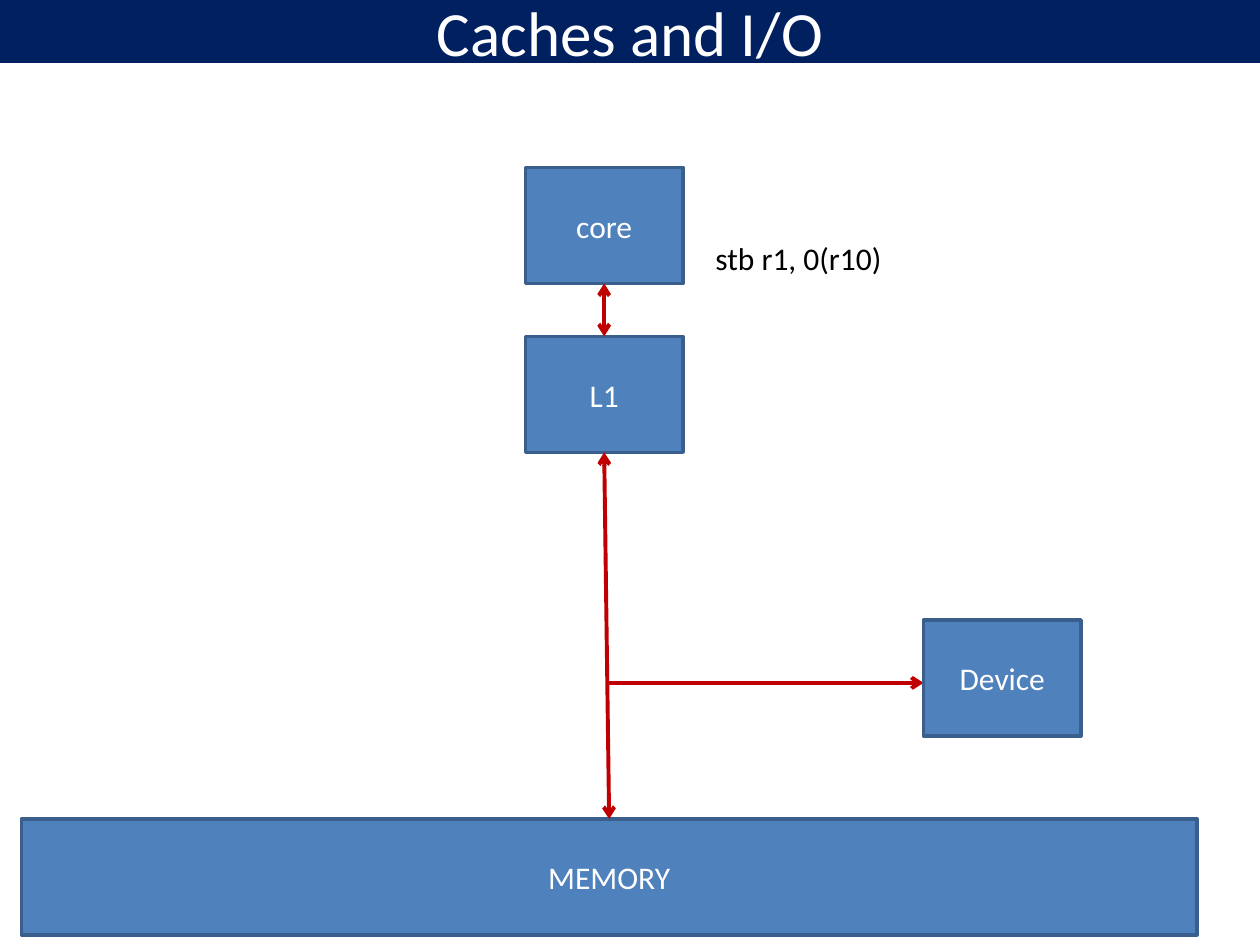
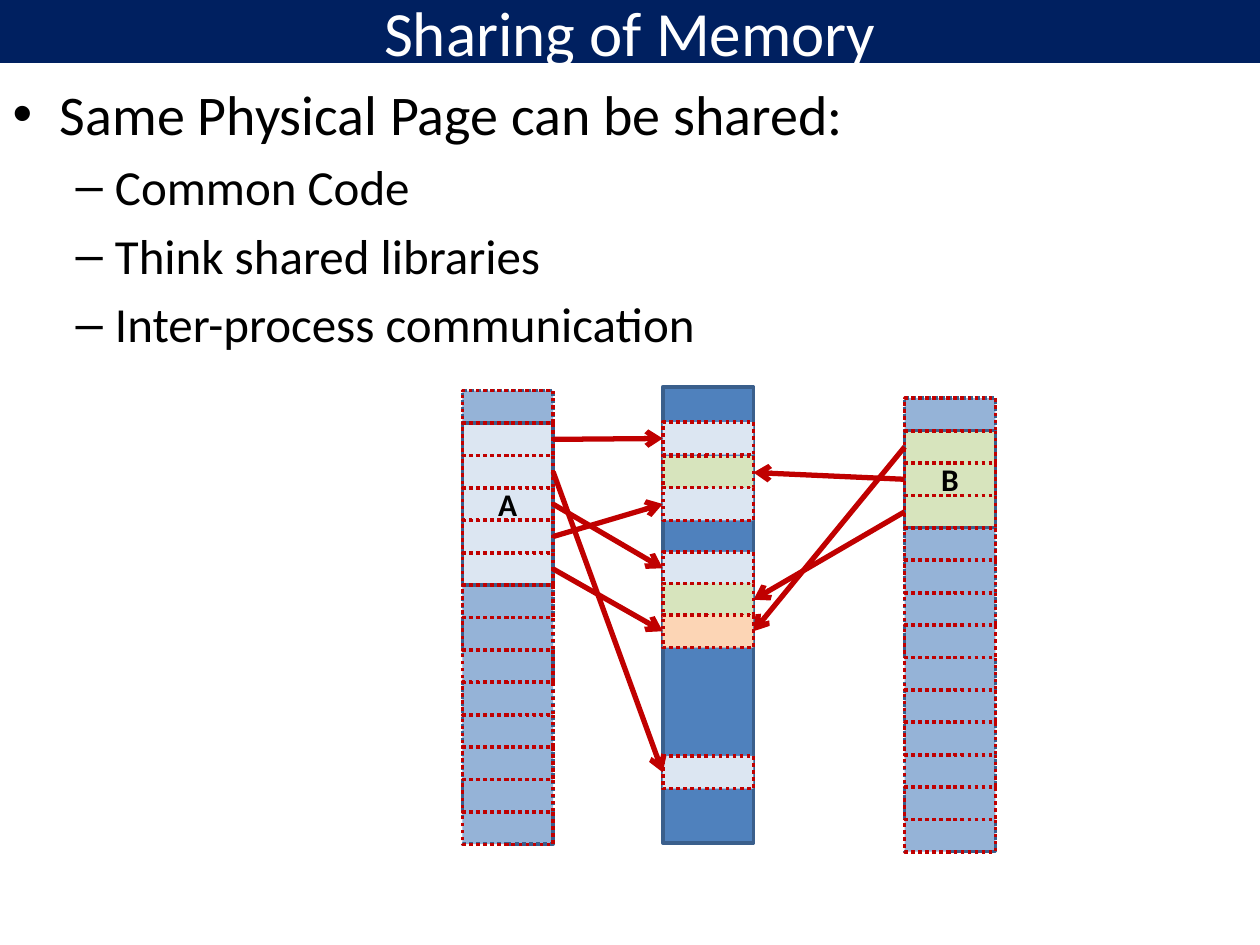
from pptx import Presentation
from pptx.dml.color import RGBColor
from pptx.enum import dml, shapes, text
from pptx.oxml.ns import qn
from pptx.util import Inches, Pt
from lxml import etree

NAVY = RGBColor(0x00, 0x20, 0x60)
BLUE = RGBColor(0x4F, 0x81, 0xBD)
EDGE = RGBColor(0x3A, 0x5F, 0x8C)
SKY = RGBColor(0x95, 0xB3, 0xD7)
PALE = RGBColor(0xDC, 0xE6, 0xF2)
GREEN = RGBColor(0xD7, 0xE4, 0xBD)
PEACH = RGBColor(0xFC, 0xD5, 0xB5)
RED = RGBColor(0xC0, 0x00, 0x00)
WHITE = RGBColor(0xFF, 0xFF, 0xFF)
BLACK = RGBColor(0x00, 0x00, 0x00)
FONT = "Calibri"


def box(slide, place, fill, edge=EDGE, dots=False, label="", ink=WHITE):
    """Add a rectangle at place (left, top, width, height in inches)."""
    rect = slide.shapes.add_shape(shapes.MSO_SHAPE.RECTANGLE, *map(Inches, place))
    rect.shadow.inherit = False
    if fill is None:
        rect.fill.background()
    else:
        rect.fill.solid()
        rect.fill.fore_color.rgb = fill
    rect.line.color.rgb = edge
    rect.line.width = Pt(2)
    if dots:
        rect.line.dash_style = dml.MSO_LINE.ROUND_DOT
    if label:
        rect.text_frame.text = label
        rect.text_frame.vertical_anchor = text.MSO_ANCHOR.MIDDLE
        para = rect.text_frame.paragraphs[0]
        para.alignment = text.PP_ALIGN.CENTER
        para.font.name, para.font.size = FONT, Pt(18)
        para.font.color.rgb = ink
        para.font.bold = ink == BLACK
    return rect


def arrow(slide, width, ends=(0, 0, 0, 0), heads=("tailEnd",)):
    """Add a red arrow; the caller may join its ends to shapes."""
    line = slide.shapes.add_connector(
        shapes.MSO_CONNECTOR.STRAIGHT, *map(Inches, ends))
    line.line.color.rgb = RED
    line.line.width = Pt(width)
    for head in heads:
        etree.SubElement(line.line._ln, qn("a:" + head), type="arrow")
    etree.SubElement(line._element.spPr, qn("a:effectLst"))
    return line


deck = Presentation()
deck.slide_width, deck.slide_height = Inches(10), Inches(7.5)
cache = deck.slides.add_slide(deck.slide_layouts[5])
share = deck.slides.add_slide(deck.slide_layouts[1])

for slide, name in ((cache, "Caches and I/O"), (share, "Sharing of Memory")):
    title = slide.shapes.title
    title.left, title.top = Inches(0), Inches(0)
    title.width, title.height = Inches(10), Inches(0.5)
    title.fill.solid()
    title.fill.fore_color.rgb = NAVY
    frame = title.text_frame
    frame.text = name
    frame.auto_size = text.MSO_AUTO_SIZE.NONE
    frame.vertical_anchor = text.MSO_ANCHOR.MIDDLE
    para = frame.paragraphs[0]
    para.alignment = text.PP_ALIGN.CENTER
    para.font.name, para.font.size = FONT, Pt(36)
    para.font.color.rgb = WHITE

# Caches and I/O
core = box(cache, (4.17, 1.33, 1.25, 0.92), BLUE, label="core")
level = box(cache, (4.17, 2.67, 1.25, 0.92), BLUE, label="L1")
memory = box(cache, (0.17, 6.5, 9.33, 0.92), BLUE, label="MEMORY")
for upper, lower in ((core, level), (level, memory)):
    bus = arrow(cache, 2.25, heads=("headEnd", "tailEnd"))
    bus.begin_connect(upper, 2)
    bus.end_connect(lower, 0)
arrow(cache, 2.25, (4.83, 5.42, 7.33, 5.42))
box(cache, (7.33, 4.92, 1.25, 0.92), BLUE, label="Device")

note = cache.shapes.add_textbox(Inches(5.58), Inches(1.85), Inches(1.53), Inches(0.4))
note.text_frame.word_wrap = False
note.text_frame.auto_size = text.MSO_AUTO_SIZE.SHAPE_TO_FIT_TEXT
note.text_frame.text = "stb r1, 0(r10)"
para = note.text_frame.paragraphs[0]
para.font.name, para.font.size = FONT, Pt(18)
para.font.color.rgb = BLACK

# Sharing of Memory
body = share.placeholders[1]
body.left, body.top = Inches(0), Inches(0.58)
body.width, body.height = Inches(10), Inches(6.92)
body.text_frame.text = "\n".join((
    "Same Physical Page can be shared:",
    "Common Code",
    "Think shared libraries",
    "Inter-process communication",
))
body.text_frame.auto_size = text.MSO_AUTO_SIZE.NONE
for row, para in enumerate(body.text_frame.paragraphs):
    para.level = 1 if row else 0
    para.font.name, para.font.size = FONT, Pt(28 if row else 32)
    para.font.color.rgb = BLACK

WIDE, HIGH, COUNT = 0.72, 0.26, 14
STEP = 3.6 / COUNT

box(share, (5.26, 3.07, WIDE, 3.62), BLUE)
cells = {}
for top, fill in ((3.35, PALE), (3.62, GREEN), (3.87, PALE), (4.38, PALE),
                  (4.63, GREEN), (4.88, PEACH), (6, PALE)):
    cells[top] = box(share, (5.26, top, WIDE, HIGH), fill, RED, True)

# Each process: label, left, top, colour, sides joined, cell of each used page
for label, left, top, fill, out, into, used in (
    ("A", 3.67, 3.1, PALE, 3, 1, (3.35, 6, 4.38, 3.87, 4.88)),
    ("B", 7.18, 3.16, GREEN, 1, 3, (4.88, 3.62, 4.63)),
):
    box(share, (left, top, WIDE, STEP * COUNT), SKY, dots=True)
    box(share, (left, top + STEP, WIDE, STEP * len(used)), fill,
        label=label, ink=BLACK)
    pages = [box(share, (left, top + STEP * row, WIDE, HIGH), None, RED, True)
             for row in range(COUNT)]
    for page, cell in zip(pages[1:], used):
        link = arrow(share, 3)
        link.begin_connect(page, out)
        link.end_connect(cells[cell], into)

deck.save("out.pptx")
